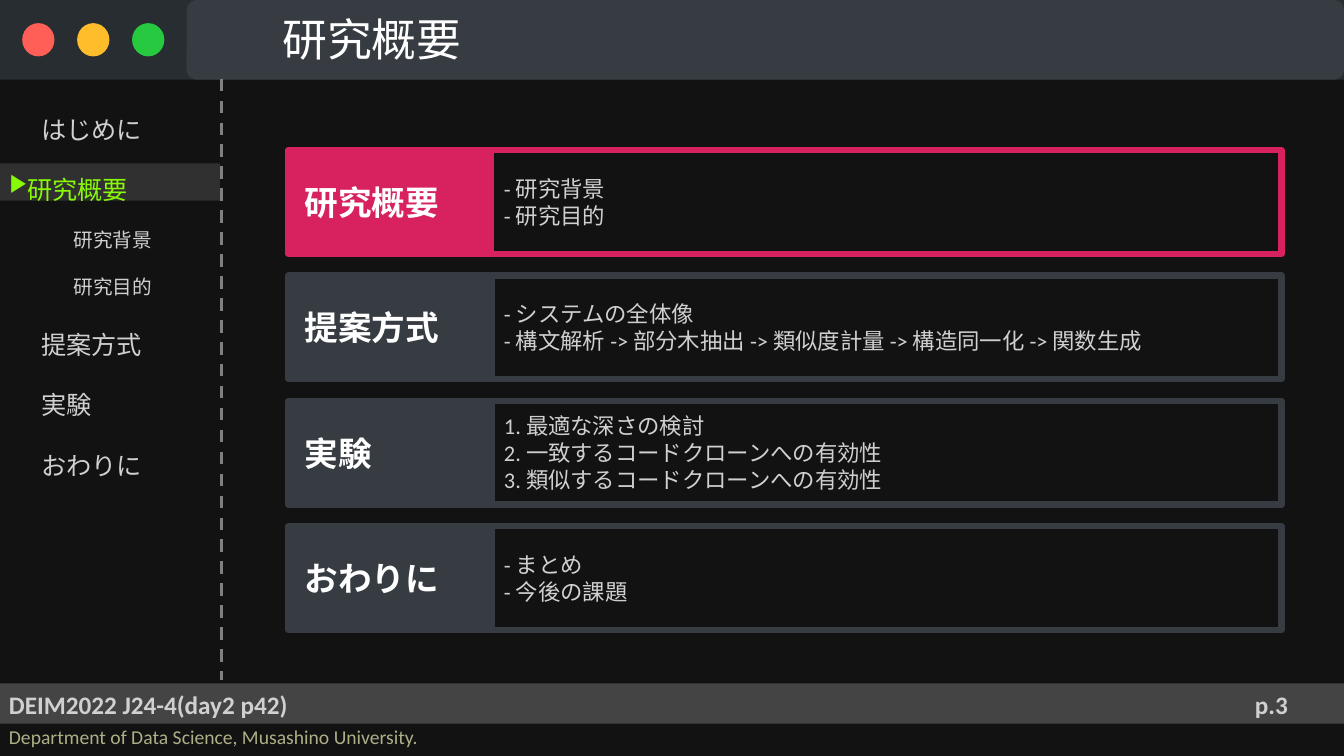
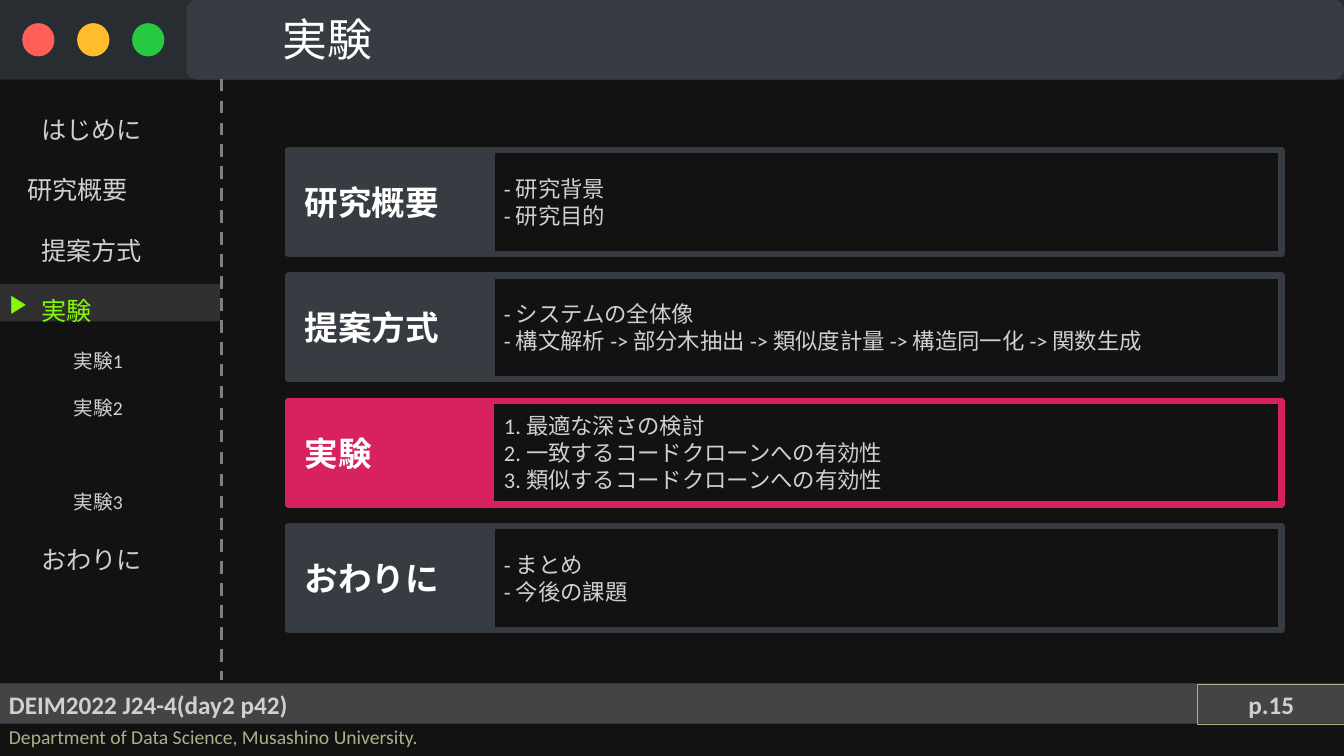
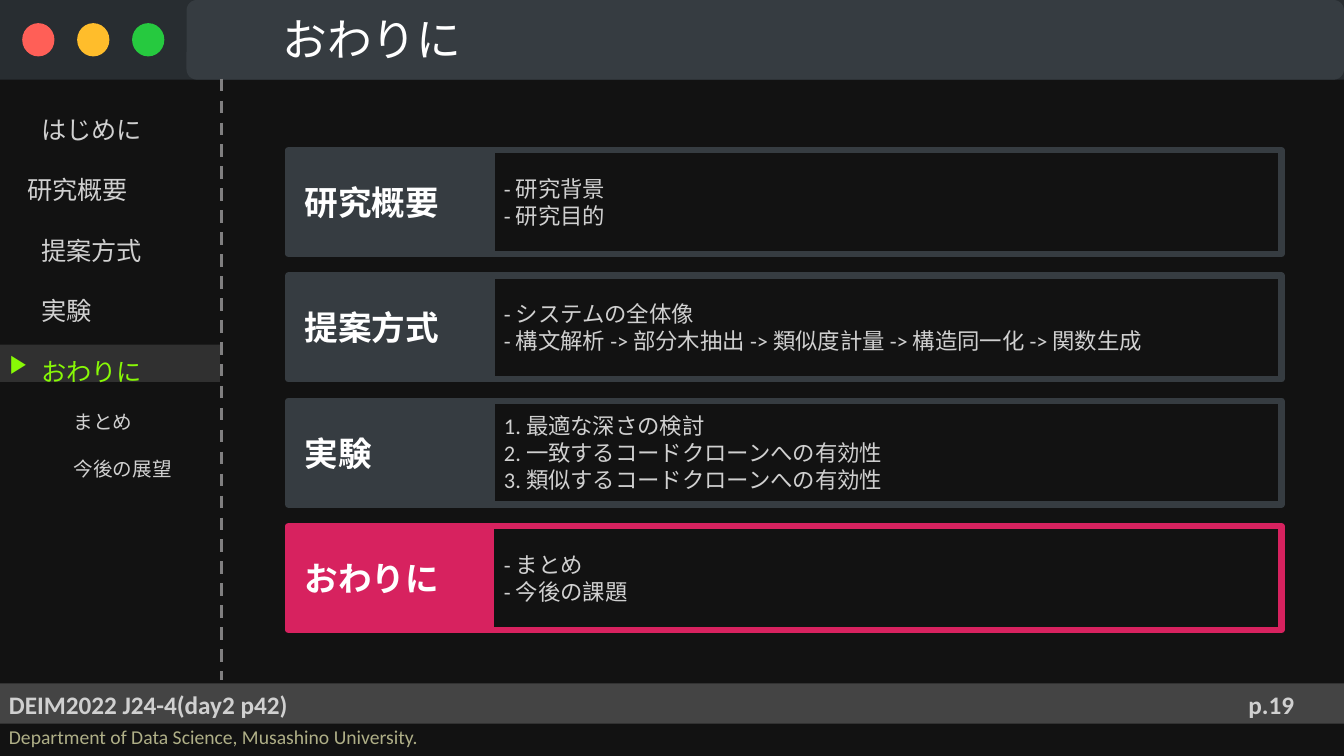
from dataclasses import dataclass

from lxml import etree
from pptx import Presentation
from pptx.dml.color import RGBColor
from pptx.enum.dml import MSO_LINE
from pptx.enum.shapes import MSO_CONNECTOR, MSO_SHAPE
from pptx.enum.text import MSO_ANCHOR, MSO_AUTO_SIZE, PP_ALIGN
from pptx.oxml.ns import qn
from pptx.util import Inches, Pt

RECT, ROUND, OVAL = MSO_SHAPE.RECTANGLE, MSO_SHAPE.ROUNDED_RECTANGLE, MSO_SHAPE.OVAL
STRAIGHT, DASH = MSO_CONNECTOR.STRAIGHT, MSO_LINE.DASH
TOP, MIDDLE = MSO_ANCHOR.TOP, MSO_ANCHOR.MIDDLE
LEFT, CENTER = PP_ALIGN.LEFT, PP_ALIGN.CENTER
FIXED = MSO_AUTO_SIZE.NONE


@dataclass(frozen=True)
class Theme:
    """Colours and type sizes of the deck."""
    font: str = "Calibri"
    back: str = "121212"
    bar: str = "282D31"
    panel: str = "363C41"
    foot: str = "444444"
    mark: str = "303030"
    rule: str = "807F80"
    hot: str = "D7225F"
    lime: str = "88F906"
    khaki: str = "AFAF87"
    text: str = "D0D0D0"
    white: str = "FFFFFF"
    lights: tuple = ("FF5F57", "FFBD2B", "26C93F")
    title: int = 32
    label: int = 24
    item: int = 18
    detail: int = 16
    small: int = 14


T = Theme()
FRAME = {"word_wrap": True, "auto_size": FIXED}
PLAIN = {"size": T.item, "color": T.text, "bold": False}
HEAD = {"size": T.title, "color": T.white, "bold": False}
LABEL = {"size": T.label, "color": T.white, "bold": True}
DETAIL = {**PLAIN, "size": T.detail}
SUB = {**PLAIN, "size": T.small}
STRONG = {**PLAIN, "bold": True}
ACTIVE = {**PLAIN, "color": T.lime}
CREDIT = {**SUB, "color": T.khaki}

CHAPTERS = [
    ("研究概要", ["- 研究背景", "- 研究目的"]),
    ("提案方式", ["- システムの全体像",
              "- 構文解析 -> 部分木抽出 -> 類似度計量 -> 構造同一化 -> 関数生成"]),
    ("実験", ["1. 最適な深さの検討", "2. 一致するコードクローンへの有効性",
            "3. 類似するコードクローンへの有効性"]),
    ("おわりに", ["- まとめ", "- 今後の課題"]),
]
MENU = ["はじめに"] + [name for name, _ in CHAPTERS]
INDENTS = {"研究概要": 0.17}
GAPS = {"実験2": 33.6}  # points left free below an entry
SLIDES = [
    {"name": "研究概要", "subs": ["研究背景", "研究目的"], "page": "p.3", "boxed": False},
    {"name": "実験", "subs": ["実験1", "実験2", "実験3"], "page": "p.15", "boxed": True},
    {"name": "おわりに", "subs": ["まとめ", "今後の展望"], "page": "p.19", "boxed": False},
]


def rgb(code):
    """Turn a hex code into a colour."""
    return RGBColor.from_string(code)


def inch(box):
    """Turn a box of inches into lengths."""
    return [Inches(v) for v in box]


def style(run, form):
    """Give a run its font, size, weight and colour."""
    values = {"name": T.font, "size": Pt(form["size"]), "bold": form["bold"]}
    for key, value in values.items():
        setattr(run.font, key, value)
    run.font.color.rgb = rgb(form["color"])


def write(shape, lines, form, anchor=MIDDLE, align=LEFT, inset=0.1):
    """Fill a shape with one paragraph for each line."""
    frame = shape.text_frame
    values = {**FRAME, "vertical_anchor": anchor, "margin_left": Inches(inset)}
    for key, value in values.items():
        setattr(frame, key, value)
    for n, line in enumerate(lines):
        para = frame.paragraphs[0] if n == 0 else frame.add_paragraph()
        para.alignment = align
        run = para.add_run()
        run.text = line
        style(run, form)
    return shape


def block(slide, box, fill=None, line=None, width=1, kind=RECT):
    """Add a flat shape with an optional fill and outline."""
    shape = slide.shapes.add_shape(kind, *inch(box))
    shape.shadow.inherit = False
    if fill:
        shape.fill.solid()
        shape.fill.fore_color.rgb = rgb(fill)
    else:
        shape.fill.background()
    if line:
        shape.line.color.rgb = rgb(line)
        shape.line.width = Pt(width)
    else:
        shape.line.fill.background()
    return shape


def label(slide, box, text, form, **extra):
    """Add a text box with one line."""
    return write(slide.shapes.add_textbox(*inch(box)), [text], form, **extra)


def indent(para, left):
    """Indent a paragraph and take its bullet away."""
    props = para._p.get_or_add_pPr()
    props.set("marL", str(Inches(left)))
    props.set("indent", "0")
    etree.SubElement(props, qn("a:buNone"))


def header(slide, box):
    """Draw the window bar with its lights and tab."""
    x, y, w, h = box
    lamps = [block(slide, (x + 0.22 + 0.545 * n, y + 0.23, 0.32, 0.33), hue, kind=OVAL)
             for n, hue in enumerate(T.lights)]
    tab = block(slide, (x + 1.85, y, w - 1.85, h), T.panel, kind=ROUND)
    tab.adjustments[0] = 0.13
    return [block(slide, box, T.bar), *lamps, tab]


def footer(slide, box):
    """Draw the bottom band with event and credit."""
    x, y, w, h = box
    return [
        block(slide, box, T.foot),
        label(slide, (x - 0.01, y + 0.01, w / 2, h),
              "DEIM2022\u00a0J24-4(day2 p42)", STRONG, anchor=TOP),
        label(slide, (x - 0.01, y + 0.36, w / 2, 0.34),
              "Department of Data Science, Musashino University.", CREDIT, anchor=TOP),
    ]


def divider(slide, x, top, end):
    """Draw the dashed rule beside the menu."""
    rule = slide.shapes.add_connector(STRAIGHT, *inch((x, top, x, end)))
    rule.line.color.rgb = rgb(T.rule)
    rule.line.width = Pt(2.25)
    rule.line.dash_style = DASH
    etree.SubElement(rule.element.spPr, qn("a:effectLst"))
    return rule


def share(master, slide):
    """Put background, bands and rule on the master."""
    master.background.fill.solid()
    master.background.fill.fore_color.rgb = rgb(T.back)
    parts = footer(slide, (0, 6.78, 13.33, 0.4)) + header(slide, (0, 0, 13.33, 0.79))
    parts.append(divider(slide, 2.2, 0.78, 6.75))
    for n, part in enumerate(parts):
        part.element.xpath(".//p:cNvPr")[0].set("id", str(100 + n))
        master.shapes.element.append(part.element)


def place(shape, box):
    """Move a placeholder to a box."""
    for key, value in zip(("left", "top", "width", "height"), inch(box)):
        setattr(shape, key, value)
    return shape


def heading(slide, box, text):
    """Set the slide title."""
    title = write(place(slide.shapes.title, box), [text], HEAD)
    indent(title.text_frame.paragraphs[0], 0.5)


def menu(slide, box, name, subs):
    """Fill the side menu and mark the current chapter."""
    x, y, w, _ = box
    spot = MENU.index(name)
    lines = MENU[:spot + 1] + subs + MENU[spot + 1:]
    body = write(place(slide.placeholders[1], box), lines, PLAIN, anchor=TOP)
    for n, para in enumerate(body.text_frame.paragraphs):
        text = lines[n]
        sub = spot < n <= spot + len(subs)
        values = {"line_spacing": 2.0, "space_before": Pt(0),
                  "space_after": Pt(GAPS.get(text, 0))}
        for key, value in values.items():
            setattr(para, key, value)
        indent(para, 0.63 if sub else INDENTS.get(text, 0.31))
        style(para.runs[0], SUB if sub else ACTIVE if n == spot else PLAIN)
    top = y + 0.24 + 0.6 * spot
    band = block(slide, (x, top, w - 0.02, 0.37), T.mark)
    slide.shapes.element.insert(2, band.element)
    label(slide, (x, top - 0.02, 0.46, 0.4), "▶\ufe0e", ACTIVE, anchor=TOP)


def chapter(slide, box, name, lines, live):
    """Draw one chapter row, in the accent colour when live."""
    x, y, w, h = box
    hue = T.hot if live else T.panel
    edge = None if live else hue
    block(slide, box, line=hue, width=4.5)
    write(block(slide, (x - 0.02, y, 2.06, h), hue, edge), [name], LABEL, inset=0.18)
    write(block(slide, (x + 2.04, y, w - 2.07, h), line=edge), lines, DETAIL)


def agenda(slide, box, name):
    """Stack the chapter rows at equal steps."""
    x, y, w, h = box
    row = 1.03
    step = (h - row) / (len(CHAPTERS) - 1)
    for n, (head, lines) in enumerate(CHAPTERS):
        chapter(slide, (x, y + n * step, w, row), head, lines, head == name)


def number(slide, box, text, boxed):
    """Write the page number, outlined when boxed."""
    edge = T.khaki if boxed else None
    write(block(slide, box, line=edge, width=0.75), [text], STRONG, align=CENTER)


def build():
    """Build and save the deck."""
    deck = Presentation()
    deck.slide_width, deck.slide_height = Inches(13.33), Inches(7.5)
    for n, data in enumerate(SLIDES):
        slide = deck.slides.add_slide(deck.slide_layouts[1])
        if n == 0:
            share(deck.slide_master, slide)
        heading(slide, (2.2, 0.06, 11.14, 0.64), data["name"])
        menu(slide, (0, 0.78, 2.2, 5.97), data["name"], data["subs"])
        agenda(slide, (2.86, 1.49, 9.85, 4.76), data["name"])
        number(slide, (11.88, 6.79, 1.46, 0.4), data["page"], data["boxed"])
    deck.save("out.pptx")


build()
